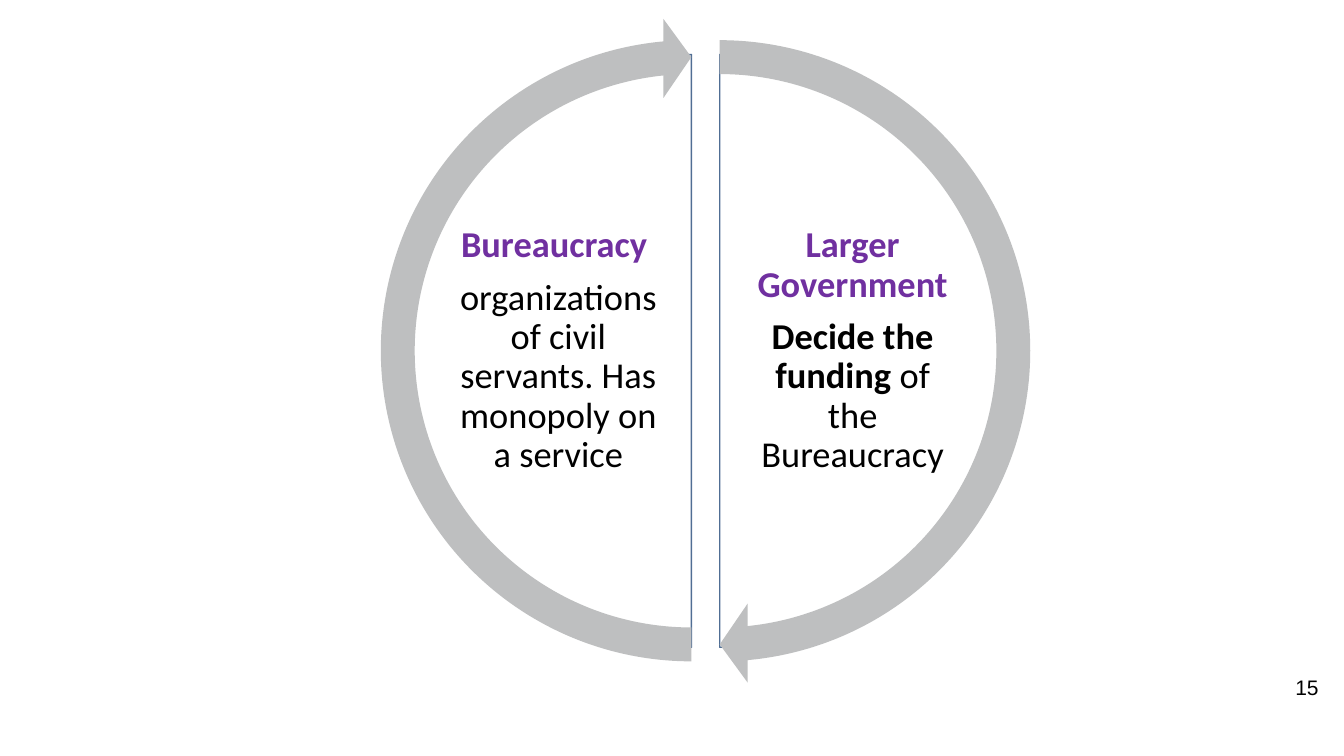
from pptx import Presentation
from pptx.dml.color import RGBColor
from pptx.enum import shapes, text
from pptx.util import Pt

PURPLE = RGBColor(0x70, 0x30, 0xA0)
BLACK = RGBColor(0, 0, 0)
WHITE = RGBColor(255, 255, 255)
GRAY = RGBColor(0xBE, 0xBF, 0xC0)
SLATE = RGBColor(0x50, 0x6E, 0x94)

# Content: pie left, text left, pie angles, arrow angles, title, bold part, plain part
HALVES = [
    (302.4, 533.5, (162, 54), (50.72, 162),
     "Larger Government", "Decide the funding ", "of the Bureaucracy"),
    (282.2, 323.3, (54, 162), (158.72, 54),
     "Bureaucracy ", "",
     "organizations of civil servants. Has monopoly on a service"),
]
PAGE = "15"

# Layout
PIE_TOP, PIE = 38.9, 423.4
RING = 476
OUT = (RING - PIE) / 2
TEXT_TOP, TEXT_W, TEXT_H = 149.8, 151.2, 201.6

deck = Presentation()
deck.slide_width, deck.slide_height = Pt(960), Pt(540)
slide = deck.slides.add_slide(deck.slide_layouts[6])


def add_round(kind, left, top, size, angles, fill, line=None):
    shape = slide.shapes.add_shape(kind, Pt(left), Pt(top), Pt(size), Pt(size))
    shape.shadow.inherit = False
    for i, angle in enumerate(angles):
        shape.adjustments[i] = angle
    shape.fill.solid()
    shape.fill.fore_color.rgb = fill
    if line:
        shape.line.color.rgb = line
        shape.line.width = Pt(1)
    else:
        shape.line.fill.background()


def add_text(left, top, width, height):
    frame = slide.shapes.add_textbox(
        Pt(left), Pt(top), Pt(width), Pt(height)).text_frame
    frame.word_wrap = True
    frame.vertical_anchor = text.MSO_ANCHOR.MIDDLE
    return frame


def style(para, align, face, size, color):
    para.alignment = align
    para.font.name = face
    para.font.size = Pt(size)
    para.font.color.rgb = color


# Half circles with their text
for left, text_x, angles, _, title, bold, plain in HALVES:
    add_round(shapes.MSO_SHAPE.PIE, left, PIE_TOP, PIE, angles, WHITE, SLATE)
    frame = add_text(text_x, TEXT_TOP, TEXT_W, TEXT_H)
    frame.margin_left = frame.margin_right = Pt(2.6)
    frame.margin_top = frame.margin_bottom = Pt(2.6)
    head, body = frame.paragraphs[0], frame.add_paragraph()
    for para, color in ((head, PURPLE), (body, BLACK)):
        style(para, text.PP_ALIGN.CENTER, "Calibri", 26, color)
        para.line_spacing = 0.9
        para.space_after = Pt(9.5)
    head.font.bold = True
    head.add_run().text = title
    for words, heavy in ((bold, True), (plain, False)):
        if words:
            run = body.add_run()
            run.text = words
            run.font.bold = heavy

# Ring arrows
for left, _, _, (start, end), *_ in HALVES:
    add_round(shapes.MSO_SHAPE.CIRCULAR_ARROW, left - OUT, PIE_TOP - OUT, RING,
              (0.05085, 3.275, start, end, 0.05932), GRAY)

# Page number
para = add_text(733, 476.6, 216, 28.8).paragraphs[0]
para.add_run().text = PAGE
style(para, text.PP_ALIGN.RIGHT, "Arial", 15, BLACK)

deck.save("out.pptx")
